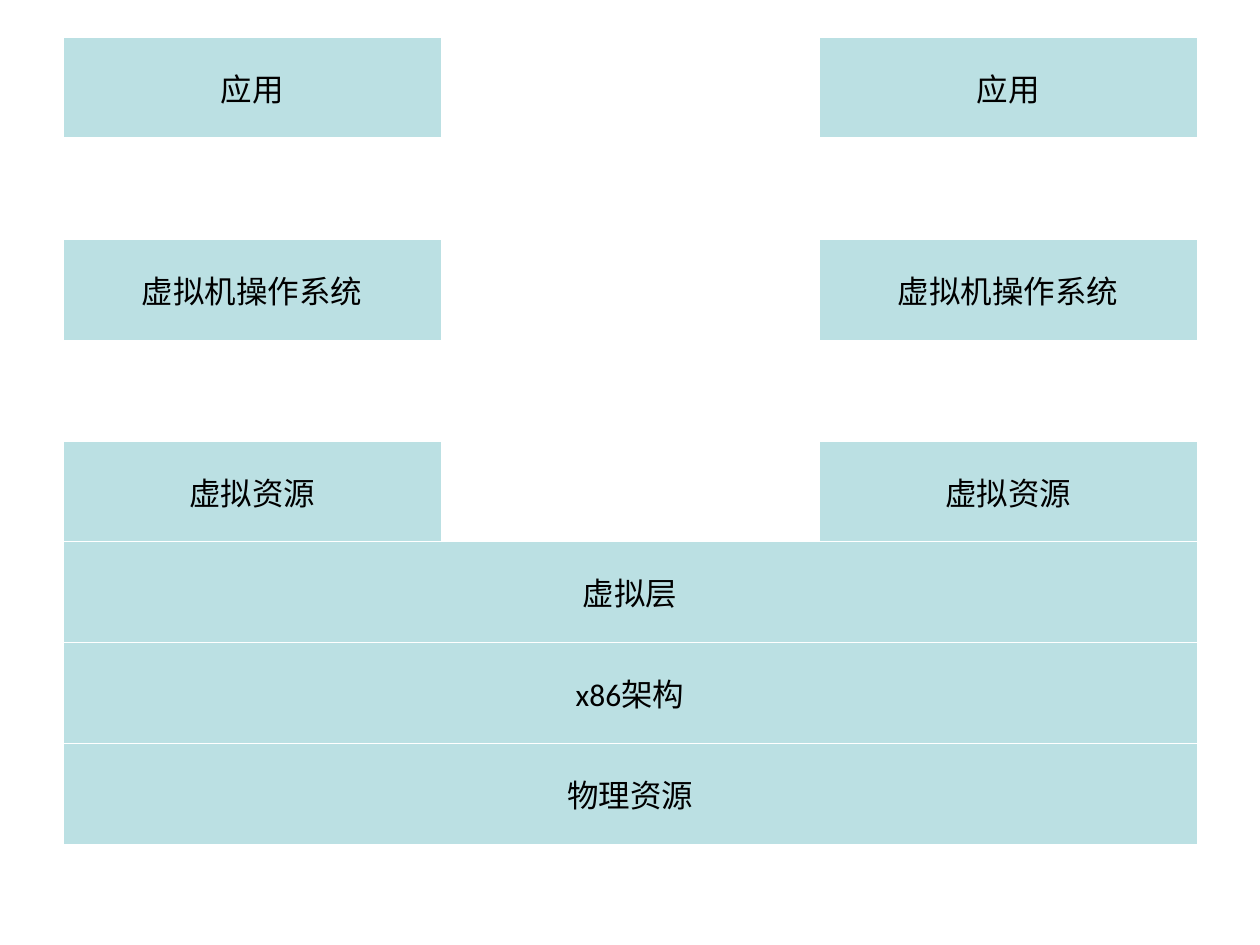
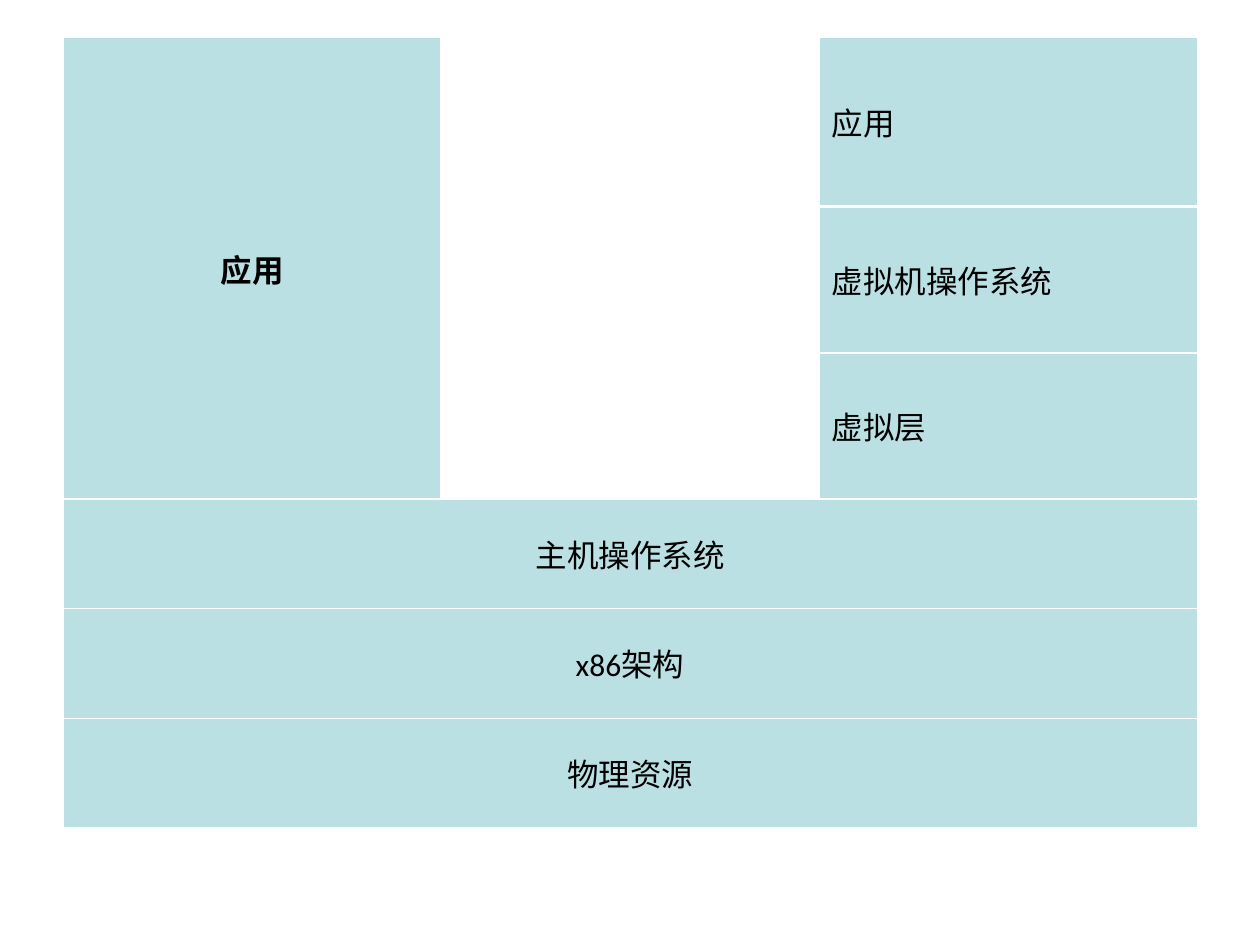
from dataclasses import dataclass
from itertools import product

from lxml import etree
from pptx import Presentation
from pptx.dml.color import RGBColor
from pptx.enum import text
from pptx.oxml import ns
from pptx.util import Inches, Pt

LAYER_FILL = RGBColor(0xBB, 0xE0, 0xE3)
LABEL_COLOR = RGBColor(0x00, 0x00, 0x00)
BORDER_COLOR = RGBColor(0xFF, 0xFF, 0xFF)
THIN, HEAVY = Pt(0.45), Pt(1.47)
LEFT, TOP, COLUMN_WIDTH = Inches(0.5), Inches(0.3), Inches(3)
COLUMN_COUNT = 3
SIDES = "LRTB"
CELL_FORMAT = {
    "margin_left": Inches(0.1),
    "margin_right": Inches(0.1),
    "margin_top": Inches(0.05),
    "margin_bottom": Inches(0.05),
    "vertical_anchor": text.MSO_ANCHOR.MIDDLE,
}
LABEL_FORMAT = {"name": "Calibri", "size": Pt(18)}
CENTER, LEFT_ALIGNED = text.PP_ALIGN.CENTER, text.PP_ALIGN.LEFT


@dataclass(frozen=True)
class Layer:
    row: int
    column: int
    label: str = ""
    rows: int = 1
    columns: int = 1
    heavy: str = ""
    bold: bool = False
    align: text.PP_ALIGN = CENTER


@dataclass(frozen=True)
class Stack:
    row_heights: list[float]
    layers: list[Layer]


def shared_layers(first_row: int, labels: list[str], heavy: str = "") -> list[Layer]:
    return [
        Layer(first_row + step, 0, label, columns=COLUMN_COUNT, heavy="" if step else heavy)
        for step, label in enumerate(labels)
    ]


def draw_borders(cell, heavy: str) -> None:
    properties = cell._tc.get_or_add_tcPr()
    for side in SIDES:
        line = etree.SubElement(properties, ns.qn(f"a:ln{side}"))
        line.set("w", str(HEAVY if side in heavy else THIN))
        solid = etree.SubElement(line, ns.qn("a:solidFill"))
        etree.SubElement(solid, ns.qn("a:srgbClr")).set("val", str(BORDER_COLOR))


def write_label(cell, layer: Layer) -> None:
    for attribute, value in CELL_FORMAT.items():
        setattr(cell, attribute, value)
    paragraph = cell.text_frame.paragraphs[0]
    paragraph.alignment = layer.align
    paragraph.space_before = Pt(4.5)
    run = paragraph.add_run()
    run.text = layer.label
    for attribute, value in LABEL_FORMAT.items():
        setattr(run.font, attribute, value)
    run.font.bold = layer.bold
    run.font.color.rgb = LABEL_COLOR


def draw_stack(slide, stack: Stack) -> None:
    heights = [Inches(height) for height in stack.row_heights]
    table = slide.shapes.add_table(
        len(heights), COLUMN_COUNT, LEFT, TOP, COLUMN_WIDTH * COLUMN_COUNT, sum(heights)
    ).table
    table.first_row = table.horz_banding = False
    for row, height in zip(table.rows, heights):
        row.height = height

    covering = {}
    for layer in stack.layers:
        row_span = range(layer.row, layer.row + layer.rows)
        column_span = range(layer.column, layer.column + layer.columns)
        covering.update(dict.fromkeys(product(row_span, column_span), layer))
        first = table.cell(layer.row, layer.column)
        if layer.rows * layer.columns > 1:
            first.merge(table.cell(row_span[-1], column_span[-1]))
        if layer.label:
            write_label(first, layer)

    for position in product(range(len(heights)), range(COLUMN_COUNT)):
        cell = table.cell(*position)
        layer = covering.get(position, Layer(*position))
        draw_borders(cell, layer.heavy)
        if layer.label:
            cell.fill.solid()
            cell.fill.fore_color.rgb = LAYER_FILL
        else:
            cell.fill.background()


BARE_METAL = Stack(
    [0.8] * 8,
    [
        Layer(2 * level, column, label, heavy="" if level else "B")
        for level, label in enumerate(["应用", "虚拟机操作系统", "虚拟资源"])
        for column in (0, 2)
    ]
    + [Layer(0, 1, heavy="B")]
    + [Layer(1, column, heavy="T") for column in range(COLUMN_COUNT)]
    + shared_layers(5, ["虚拟层", "x86架构", "物理资源"]),
)

HOSTED = Stack(
    [0.87, 0.47, 0.58, 0.58, 0.29] + [0.87] * 4,
    [
        Layer(0, 0, "应用", rows=6, heavy="RB", bold=True),
        Layer(0, 1, heavy="B"),
        Layer(1, 1, rows=2, heavy="LTR"),
        Layer(3, 1, rows=2, heavy="LR"),
        Layer(5, 1, heavy="LR"),
        Layer(0, 2, "应用", rows=2, heavy="LB", align=LEFT_ALIGNED),
        Layer(2, 2, "虚拟机操作系统", rows=2, heavy="LTB", align=LEFT_ALIGNED),
        Layer(4, 2, "虚拟层", rows=2, heavy="LTB", align=LEFT_ALIGNED),
    ]
    + shared_layers(6, ["主机操作系统", "x86架构", "物理资源"], heavy="T"),
)


def main() -> None:
    presentation = Presentation()
    presentation.slide_width, presentation.slide_height = Inches(10), Inches(7.5)
    for stack in (BARE_METAL, HOSTED):
        draw_stack(presentation.slides.add_slide(presentation.slide_layouts[6]), stack)
    presentation.save("out.pptx")


if __name__ == "__main__":
    main()
